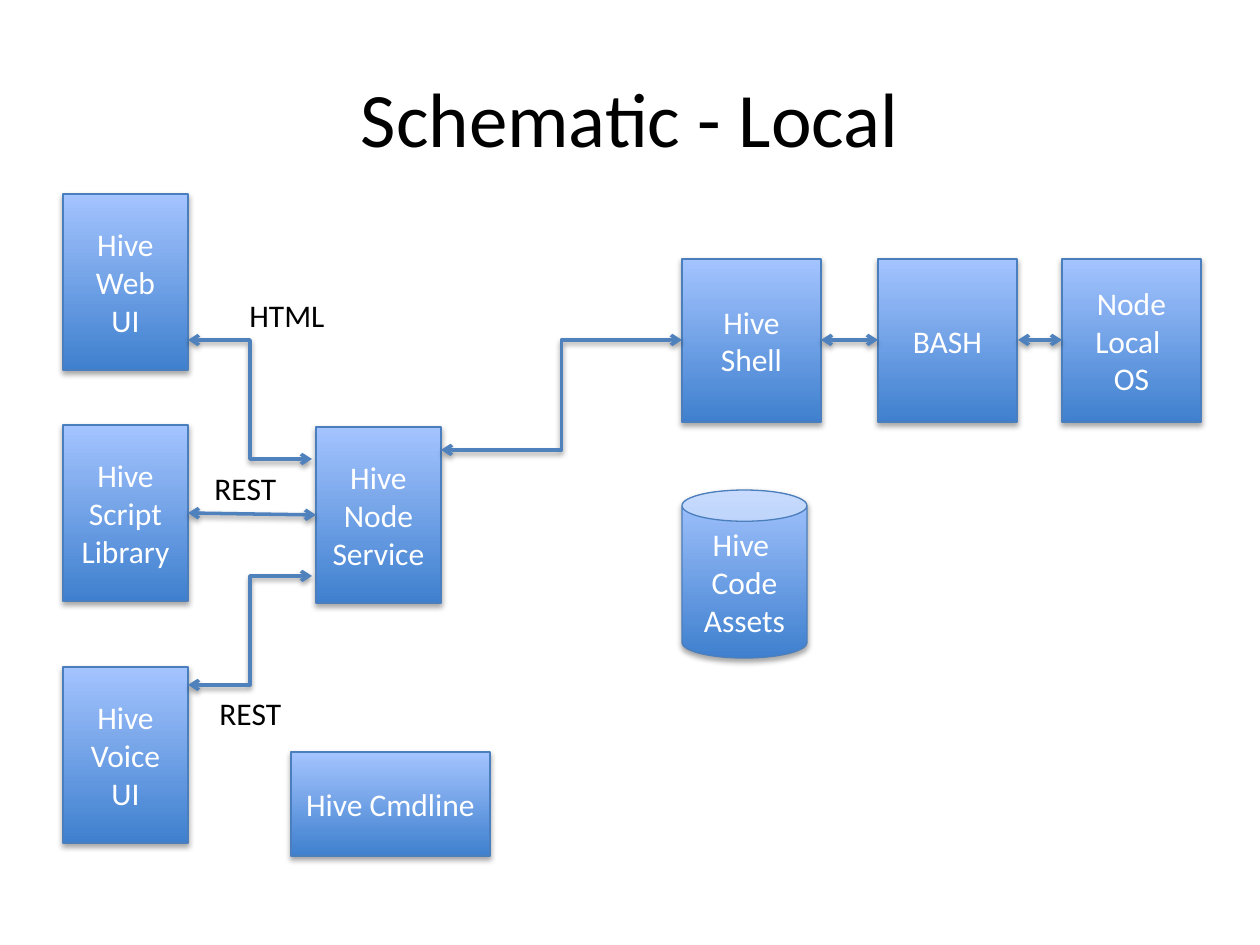
from pptx import Presentation
from pptx.dml.color import RGBColor
from pptx.enum.shapes import MSO_CONNECTOR, MSO_SHAPE
from pptx.enum.text import MSO_ANCHOR, PP_ALIGN
from pptx.oxml.ns import qn
from pptx.util import Emu, Inches, Pt
from lxml.etree import SubElement

COLORS = {
    "text": "000000",
    "box_text": "FFFFFF",
    "bottom": "3F80CE",
    "top": "A4C4FF",
    "outline": "4B7EBC",
    "connector": "4F81BD",
    "shadow": "000000",
}
PIXEL = Inches(1) // 126


def color(name):
    return RGBColor.from_string(COLORS[name])


def write(shape, text, size=18, fill="text", align=PP_ALIGN.LEFT,
          anchor=MSO_ANCHOR.TOP, wrap=True, font="Calibri"):
    frame = shape.text_frame
    frame.word_wrap = wrap
    frame.vertical_anchor = anchor
    frame.text = text
    for paragraph in frame.paragraphs:
        paragraph.alignment = align
        for run in paragraph.runs:
            run.font.name = font
            run.font.size = Pt(size)
            run.font.color.rgb = color(fill)


def add_shadow(effects, distance, opacity):
    shadow = SubElement(effects, qn("a:outerShdw"), blurRad="40000",
                        dist=str(distance), dir="5400000", rotWithShape="0")
    tint = SubElement(shadow, qn("a:srgbClr"), val=COLORS["shadow"])
    SubElement(tint, qn("a:alpha"), val=str(opacity * 1000))


class Schematic:
    def __init__(self, slide):
        self.shapes = slide.shapes

    def text(self, text, left, top, width, height, **style):
        shape = self.shapes.add_textbox(
            *(Emu(value * PIXEL) for value in (left, top, width, height)))
        write(shape, text, **style)

    def box(self, text, left, top, width, height, kind=MSO_SHAPE.RECTANGLE):
        shape = self.shapes.add_shape(
            kind, *(Emu(value * PIXEL) for value in (left, top, width, height)))
        shape.fill.gradient()
        shape.fill.gradient_angle = 90
        for stop, name in zip(shape.fill.gradient_stops, ("bottom", "top")):
            stop.color.rgb = color(name)
        shape.line.color.rgb = color("outline")
        shape.line.width = Pt(0.75)
        shape.shadow.inherit = False
        effects = shape._element.spPr.find(qn("a:effectLst"))
        add_shadow(effects, distance=23000, opacity=35)
        write(shape, text, fill="box_text", align=PP_ALIGN.CENTER,
              anchor=MSO_ANCHOR.MIDDLE)

    def arrow(self, start, end, kind=MSO_CONNECTOR.STRAIGHT):
        connector = self.shapes.add_connector(
            kind, *(Emu(value * PIXEL) for value in start + end))
        connector.line.color.rgb = color("connector")
        connector.line.width = Pt(2)
        properties = connector._element.spPr
        line = properties.find(qn("a:ln"))
        for tag in ("a:headEnd", "a:tailEnd"):
            SubElement(line, qn(tag), type="arrow")
        effects = SubElement(properties, qn("a:effectLst"))
        add_shadow(effects, distance=20000, opacity=38)


presentation = Presentation()
presentation.slide_width = Inches(10)
presentation.slide_height = Inches(7.5)
schematic = Schematic(presentation.slides.add_slide(presentation.slide_layouts[6]))

schematic.text("Schematic - Local", 63, 38, 1134, 158, size=44,
               align=PP_ALIGN.CENTER, anchor=MSO_ANCHOR.MIDDLE)

for client, top in (("Hive\nWeb\nUI", 194), ("Hive Script Library", 425),
                    ("Hive Voice UI", 667)):
    schematic.box(client, 63, top, 125, 176)
schematic.box("Hive\nNode Service", 316, 427, 125, 176)
for host, left in (("Hive Shell", 682), ("BASH", 878), ("Node Local \nOS", 1062)):
    schematic.box(host, left, 259, 139, 163)
schematic.box("Hive \nCode\nAssets", 682, 490, 125, 168, kind=MSO_SHAPE.CAN)
schematic.box("Hive Cmdline", 291, 752, 199, 104)

for start, end in (((188, 340), (312, 459)), ((188, 685), (312, 576)),
                   ((441, 450), (682, 340))):
    schematic.arrow(start, end, kind=MSO_CONNECTOR.ELBOW)
for start, end in (((188, 513), (316, 515)), ((821, 340), (878, 340)),
                   ((1018, 340), (1062, 340))):
    schematic.arrow(start, end)

for protocol, left, top, width in (("HTML", 237, 290, 102), ("REST", 202, 463, 89),
                                   ("REST", 207, 688, 89)):
    schematic.text(protocol, left, top, width, 50, wrap=False)

presentation.save("out.pptx")
